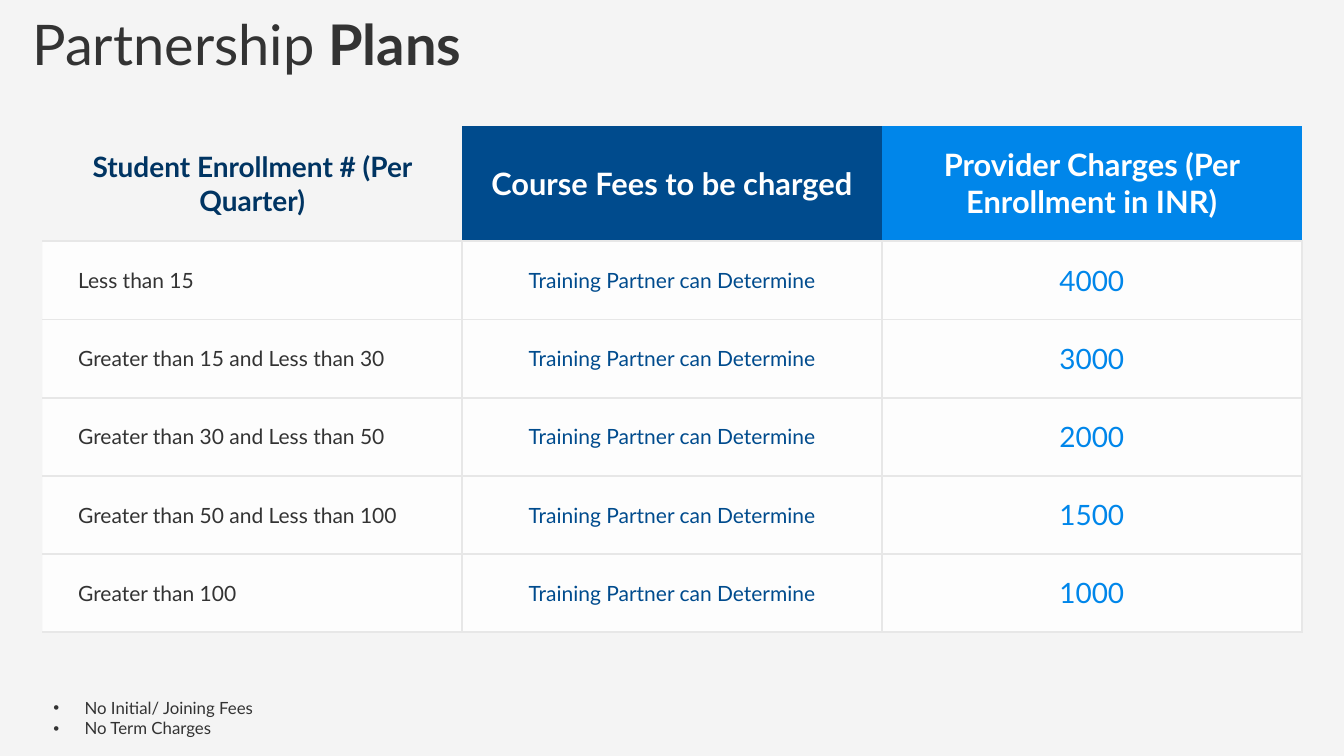
from pptx import Presentation
from pptx.dml.color import RGBColor
from pptx.enum.text import MSO_ANCHOR, MSO_AUTO_SIZE, PP_ALIGN
from pptx.oxml.ns import qn
from pptx.util import Inches, Pt
from lxml import etree

LEFT, CENTER = PP_ALIGN.LEFT, PP_ALIGN.CENTER
TOP, MIDDLE = MSO_ANCHOR.TOP, MSO_ANCHOR.MIDDLE
FIT_SHAPE = MSO_AUTO_SIZE.SHAPE_TO_FIT_TEXT

# Content
TITLE = [("Partnership", False), (" Plans", True)]
HEADERS = [  # text, size, text colour, fill
    ("Student Enrollment # (Per Quarter)", 40, "navy", None),
    ("Course Fees to be charged", 44, "white", "blue"),
    ("Provider Charges (Per Enrollment in INR)", 44, "white", "sky"),
]
FEES = "Training Partner can Determine"
PLANS = [
    ("Less than 15", "4000"),
    ("Greater than 15 and Less than 30", "3000"),
    ("Greater than 30 and Less than 50", "2000"),
    ("Greater than 50 and Less than 100", "1500"),
    ("Greater than 100", "1000"),
]
NOTES = ["No Initial/ Joining Fees", "No Term Charges"]

# Look
FONT = "Lato"
COLORS = {"page": "F4F4F4", "text": "333333", "navy": "003462", "blue": "004B8D",
          "sky": "0086EA", "white": "FFFFFF", "line": "E7E7E7"}
BODY_STYLE = [(30, "text", LEFT), (30, "blue", CENTER), (40, "sky", CENTER)]
NO_STYLE = "{2D5ABB26-0587-4C30-8999-92F81FD0307C}"

# Grid, in inches
SLIDE_W, SLIDE_H = 26.67, 15
TABLE_X, TABLE_Y = 0.84, 2.49
COL_W, HEAD_H, ROW_H = 8.33, 2.3, 1.55
CELL_INDENT, NOTE_INDENT = 0.71, 0.62


def rgb(name):
    return RGBColor.from_string(COLORS[name])


def set_font(font, size, color, bold=False):
    font.name, font.size, font.bold = FONT, Pt(size), bold
    font.color.rgb = rgb(color)


def fill_cell(cell, color, alpha=None):
    if color is None:
        cell.fill.background()
        return
    cell.fill.solid()
    cell.fill.fore_color.rgb = rgb(color)
    if alpha:
        clr = cell._tc.tcPr.find(".//" + qn("a:srgbClr"))
        etree.SubElement(clr, qn("a:alpha"), val=str(alpha * 1000))


def set_borders(cell, sides):
    tc_pr = cell._tc.get_or_add_tcPr()
    for i, side in enumerate(side for side in "LRTB" if side in sides):
        ln = etree.Element(qn("a:ln" + side), w=str(Pt(3)))
        fill = etree.SubElement(ln, qn("a:solidFill"))
        etree.SubElement(fill, qn("a:srgbClr"), val=COLORS["line"])
        tc_pr.insert(i, ln)


def write_cell(cell, text, size, color, align, bold=False):
    cell.text = text
    cell.vertical_anchor = MIDDLE
    p = cell.text_frame.paragraphs[0]
    p.alignment = align
    set_font(p.font, size, color, bold)


def add_title(s):
    sp = s.shapes.title
    sp.left, sp.top, sp.width, sp.height = map(Inches, (0.54, 0.29, 9.25, 1.31))
    tf = sp.text_frame
    tf.word_wrap, tf.auto_size, tf.vertical_anchor = False, FIT_SHAPE, TOP
    p = tf.paragraphs[0]
    p.alignment, p.line_spacing = LEFT, 0.9
    for text, bold in TITLE:
        r = p.add_run()
        r.text = text
        set_font(r.font, 80, "text", bold)


def add_plans(s):
    cols, rows = len(HEADERS), len(PLANS) + 1
    frame = s.shapes.add_table(rows, cols, Inches(TABLE_X), Inches(TABLE_Y),
                               Inches(COL_W * cols), Inches(HEAD_H + ROW_H * len(PLANS)))
    table = frame.table
    table.horz_banding = False
    table._tbl.tblPr.find(qn("a:tableStyleId")).text = NO_STYLE
    for col in table.columns:
        col.width = Inches(COL_W)
    for i, row in enumerate(table.rows):
        row.height = Inches(ROW_H if i else HEAD_H)

    for c, (text, size, color, fill) in enumerate(HEADERS):
        cell = table.cell(0, c)
        write_cell(cell, text, size, color, CENTER, True)
        fill_cell(cell, fill)
        set_borders(cell, "B")

    for i, (enrollment, charge) in enumerate(PLANS, 1):
        for c, text in enumerate((enrollment, FEES, charge)):
            cell = table.cell(i, c)
            write_cell(cell, text, *BODY_STYLE[c])
            fill_cell(cell, "white", 90)
            set_borders(cell, "LRTB" if c else "RTB")
        table.cell(i, 0).margin_left = Inches(CELL_INDENT)


def add_notes(s):
    tf = s.shapes.add_textbox(*map(Inches, (0.96, 13.8, 4.2, 0.91))).text_frame
    tf.word_wrap, tf.auto_size = False, FIT_SHAPE
    for i, text in enumerate(NOTES):
        p = tf.add_paragraph() if i else tf.paragraphs[0]
        p.text = text
        p_pr = p._p.get_or_add_pPr()
        p_pr.set("marL", str(Inches(NOTE_INDENT)))
        p_pr.set("indent", str(-Inches(NOTE_INDENT)))
        etree.SubElement(p_pr, qn("a:buFont"), typeface="Arial")
        etree.SubElement(p_pr, qn("a:buChar"), char="•")
        set_font(p.font, 24, "text")


def main():
    prs = Presentation()
    prs.slide_width, prs.slide_height = Inches(SLIDE_W), Inches(SLIDE_H)
    s = prs.slides.add_slide(prs.slide_layouts[5])
    s.background.fill.solid()
    s.background.fill.fore_color.rgb = rgb("page")
    add_plans(s)
    add_title(s)
    add_notes(s)
    prs.save("out.pptx")


if __name__ == "__main__":
    main()
